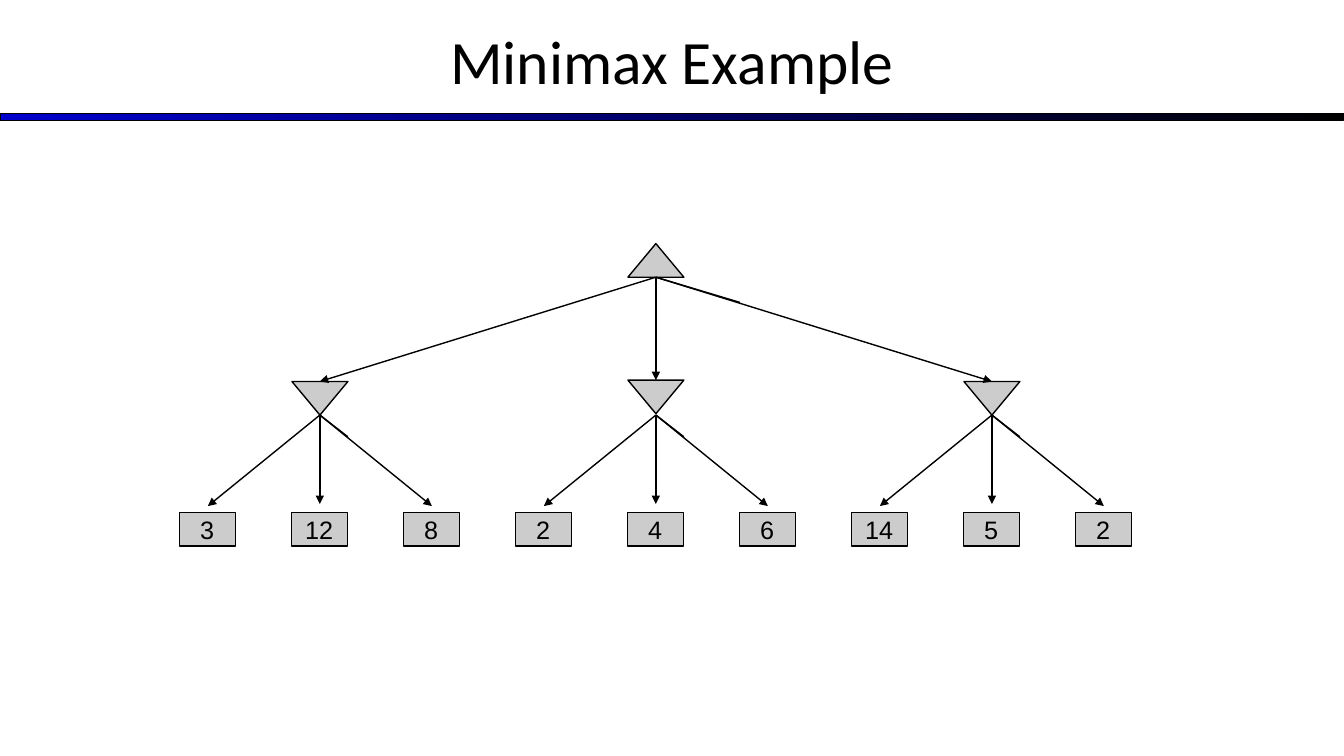
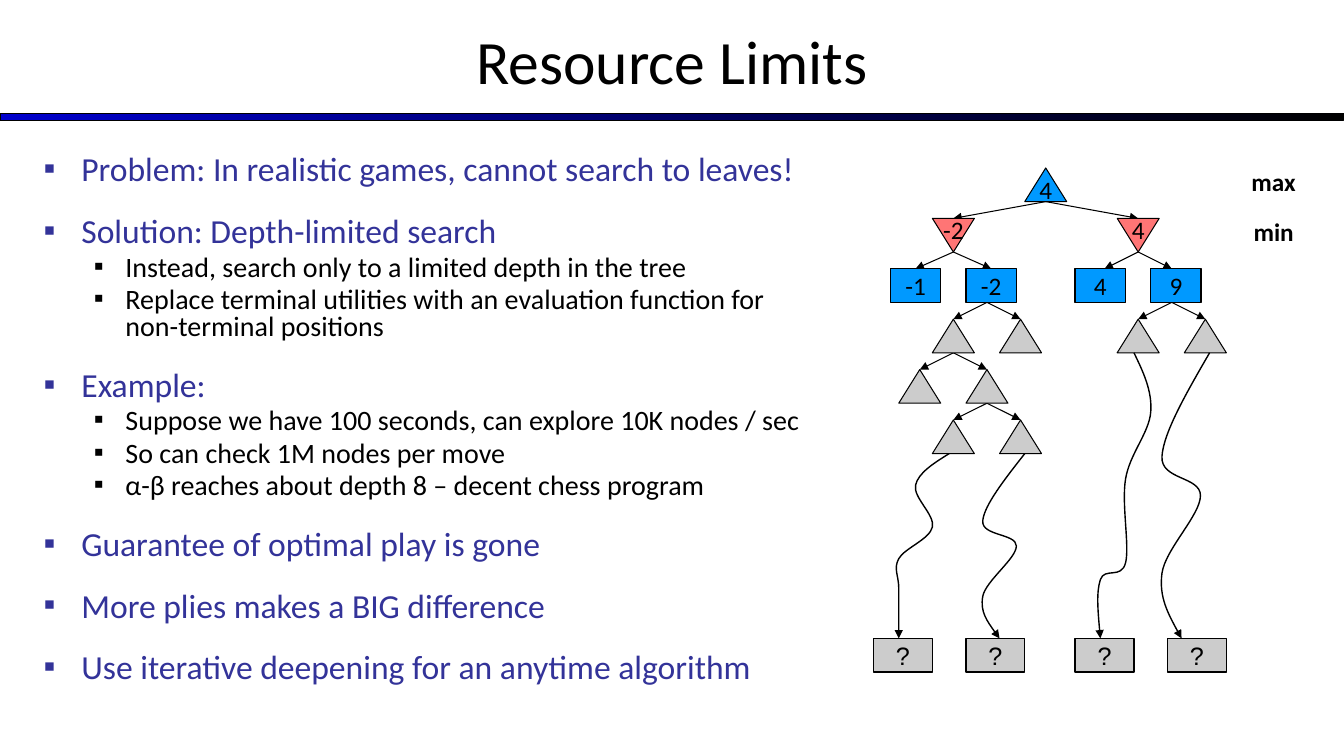
"""Build two slides on game-tree search: a minimax tree and resource limits."""
from dataclasses import dataclass

from pptx import Presentation
from pptx.dml.color import RGBColor
from pptx.enum.shapes import MSO_CONNECTOR, MSO_SHAPE
from pptx.enum.text import MSO_ANCHOR, MSO_AUTO_SIZE, PP_ALIGN
from pptx.oxml.ns import qn
from pptx.util import Pt
from lxml.etree import SubElement

PX = 6350
WIDTH, HEIGHT = 1920, 1080


@dataclass(frozen=True)
class Theme:
    """Colours, fonts and type sizes shared by the slides."""
    ink: str = "000000"
    accent: str = "333399"
    band: str = "0000CC"
    node: str = "CCCCCC"
    maximum: str = "0099FF"
    minimum: str = "FF7575"
    text_font: str = "Calibri"
    number_font: str = "Arial"
    title: int = 44
    topic: int = 24
    detail: int = 20
    label: int = 18
    thin: float = 0.75
    medium: float = 1


THEME = Theme()

MINIMAX_TITLE = "Minimax Example"
MINIMAX_VALUES = [(3, 12, 8), (2, 4, 6), (14, 5, 2)]

LIMITS_TITLE = "Resource Limits"
LIMITS_POINTS = [
    ("Problem: In realistic games, cannot search to leaves!", []),
    ("Solution: Depth-limited search", [
        "Instead, search only to a limited depth in the tree",
        "Replace terminal utilities with an evaluation function for non-terminal positions",
    ]),
    ("Example:", [
        "Suppose we have 100 seconds, can explore 10K nodes / sec",
        "So can check 1M nodes per move",
        "α-β reaches about depth 8 – decent chess program",
    ]),
    ("Guarantee of optimal play is gone", []),
    ("More plies makes a BIG difference", []),
    ("Use iterative deepening for an anytime algorithm", []),
]
PLAYERS = ["max", "min"]
MIN_NODES = [(1362, "-2"), (1626, "4")]
EVALUATED = [(1308, "-1"), (1416, "-2"), (1572, "4"), (1680, "9")]
UNLABELLED = {3: [1362, 1458, 1626, 1722], 4: [1314, 1410], 5: [1362, 1458]}
BRANCHES = [
    (0, 1494, (1362, 1626)),
    (1, 1362, (1308, 1416)),
    (1, 1626, (1578, 1674)),
    (2, 1410, (1362, 1458)),
    (2, 1674, (1626, 1722)),
    (3, 1362, (1314, 1410)),
    (4, 1410, (1362, 1458)),
]
UNKNOWN_LEAVES = [1290, 1422, 1578, 1710]
DEEP_PATHS = [
    [(1356, 648), (1308, 693), (1332, 753), (1284, 798), (1284, 841), (1284, 912)],
    [(1464, 648), (1404, 744), (1452, 780), (1404, 852), (1428, 912)],
    [(1728, 504), (1660, 652), (1715, 708), (1660, 819), (1688, 912)],
    [(1620, 504), (1644, 588), (1608, 684), (1608, 804), (1572, 828), (1572, 912)],
]
NODE_HEIGHT = 48


def rgb(color):
    return RGBColor.from_string(color)


def px(*lengths):
    return [round(length * PX) for length in lengths]


def write(paragraph, text, *, size=THEME.label, font=THEME.text_font, color=THEME.ink,
          bold=False, align=PP_ALIGN.CENTER, before=0, leading=None):
    run = paragraph.add_run()
    run.text = text
    run.font.size, run.font.name, run.font.bold = Pt(size), font, bold
    run.font.color.rgb = rgb(color)
    paragraph.alignment = align
    paragraph.space_before = Pt(before)
    if leading:
        paragraph.line_spacing = leading


def outline(figure, weight, arrow=False):
    figure.line.color.rgb = rgb(THEME.ink)
    figure.line.width = Pt(weight)
    if arrow:
        stroke = figure.element.find(".//" + qn("a:ln"))
        SubElement(stroke, qn("a:tailEnd"), type="triangle")


def add_node(slide, center, top, width, *, kind=MSO_SHAPE.RECTANGLE, fill=THEME.node,
             weight=THEME.medium, flipped=False, text="", font=THEME.text_font,
             inset=7, anchor=MSO_ANCHOR.MIDDLE):
    node = slide.shapes.add_shape(kind, *px(center - width / 2, top, width, NODE_HEIGHT))
    node.shadow.inherit = False
    node.fill.solid()
    node.fill.fore_color.rgb = rgb(fill)
    outline(node, weight)
    if flipped:
        node.rotation = 180
    if text:
        frame = node.text_frame
        frame.word_wrap = False
        frame.vertical_anchor = anchor
        frame.margin_top = inset * PX
        if flipped:
            node.element.find(".//" + qn("a:bodyPr")).set("rot", "10800000")
        write(frame.paragraphs[0], text, font=font)


def add_branch(slide, start, end, weight, arrow=True):
    branch = slide.shapes.add_connector(MSO_CONNECTOR.STRAIGHT, *px(*start, *end))
    outline(branch, weight, arrow)
    SubElement(branch.element.spPr, qn("a:effectLst"))


def curve_controls(knots):
    """List two controls and an end per span, with tangents set by neighbouring knots."""
    def shifted(origin, before, after, sign):
        return tuple(o + sign * (a - b) / 6 for o, b, a in zip(origin, before, after))

    def midpoint(first, second):
        return tuple((f + s) / 2 for f, s in zip(first, second))

    controls = []
    last = len(knots) - 2
    for index, (start, end) in enumerate(zip(knots, knots[1:])):
        leaving = shifted(start, knots[index - 1], end, 1) if index else None
        arriving = shifted(end, start, knots[index + 2], -1) if index < last else None
        leaving = leaving or midpoint(start, arriving)
        arriving = arriving or midpoint(leaving, end)
        controls += [leaving, arriving, end]
    return controls


def add_deep_path(slide, knots):
    builder = slide.shapes.build_freeform(*px(*knots[0]), scale=1.0)
    builder.add_line_segments([px(*point) for point in curve_controls(knots)], close=False)
    route = builder.convert_to_shape()
    outline_path = route.element.find(".//" + qn("a:path"))
    segments = outline_path.findall(qn("a:lnTo"))
    for index in range(0, len(segments), 3):
        curve = SubElement(outline_path, qn("a:cubicBezTo"))
        for segment in segments[index:index + 3]:
            curve.append(segment[0])
            outline_path.remove(segment)
    route.shadow.inherit = False
    route.fill.background()
    outline(route, THEME.medium, arrow=True)


def add_bullet(paragraph, color, margin, hanging):
    properties = paragraph._p.get_or_add_pPr()
    properties.set("marL", str(margin * PX))
    properties.set("indent", str(-hanging * PX))
    SubElement(SubElement(properties, qn("a:buClr")), qn("a:srgbClr"), val=color)
    SubElement(properties, qn("a:buFont"), typeface=THEME.number_font)
    SubElement(properties, qn("a:buChar"), char="▪")


def add_titled_slide(deck, title):
    slide = deck.slides.add_slide(deck.slide_layouts[5])
    heading = slide.shapes.title
    heading.left, heading.top, heading.width, heading.height = px(0, -4, WIDTH, 180)
    frame = heading.text_frame
    frame.auto_size = MSO_AUTO_SIZE.NONE
    frame.vertical_anchor = MSO_ANCHOR.MIDDLE
    write(frame.paragraphs[0], title, size=THEME.title)
    return slide


def add_layout_band(slide):
    """Draw the gradient band and place it on the slide's layout."""
    band = slide.shapes.add_shape(MSO_SHAPE.RECTANGLE, *px(0, 162, WIDTH, 10))
    band.shadow.inherit = False
    band.fill.gradient()
    band.fill.gradient_angle = 0
    for stop, color in zip(band.fill.gradient_stops, (THEME.band, THEME.ink)):
        stop.color.rgb = rgb(color)
    outline(band, THEME.thin)
    band.element.find(".//" + qn("p:cNvPr")).set("id", "20")
    slide.slide_layout.shapes.element.append(band.element)


def add_minimax_tree(slide):
    root, root_top, leaf_top, pitch, width = 937, 348, 732, 160, 80
    root_base, min_tip = root_top + NODE_HEIGHT, 593
    triangle = MSO_SHAPE.ISOSCELES_TRIANGLE
    add_node(slide, root, root_top, width, kind=triangle)
    for end in [(root, root_base + 48), (root + 120, root_base + 36)]:
        add_branch(slide, (root, root_base), end, THEME.medium, arrow=False)
    for group, values in enumerate(MINIMAX_VALUES):
        center = root + (group - 1) * 3 * pitch
        min_top = 543 if center == root else 545
        add_node(slide, center, min_top, width, kind=triangle, flipped=True)
        add_branch(slide, (root, root_base), (center, min_top), THEME.medium)
        for end in [(center, min_tip + 48), (center + 40, min_tip + 31)]:
            add_branch(slide, (center, min_tip), end, THEME.medium, arrow=False)
        for offset, value in zip((-1, 0, 1), values):
            leaf = center + offset * pitch
            arrow_end = leaf_top - (9 if offset else 12)
            add_branch(slide, (center, min_tip), (leaf, arrow_end), THEME.medium)
            add_node(slide, leaf - 1, leaf_top, width, weight=THEME.thin,
                     text=str(value), font=THEME.number_font)


def add_points(slide):
    frame = slide.shapes.add_textbox(*px(48, 216, 1116, 713)).text_frame
    frame.word_wrap = True
    lines = []
    for topic, details in LIMITS_POINTS:
        lines.append((0, topic, 21 if lines else 5.5))
        lines += [(1, detail, 4) for detail in details]
    styles = [(THEME.topic, THEME.accent, 54, 54), (THEME.detail, THEME.ink, 117, 45)]
    for index, (level, text, before) in enumerate(lines):
        size, color, margin, hanging = styles[level]
        paragraph = frame.add_paragraph() if index else frame.paragraphs[0]
        paragraph.level = level
        write(paragraph, text, size=size, color=color, align=PP_ALIGN.LEFT,
              before=before, leading=0.8)
        add_bullet(paragraph, color, margin, hanging)


def add_limited_tree(slide):
    def row_top(row):
        return 240 + 72 * row

    triangle = {"kind": MSO_SHAPE.ISOSCELES_TRIANGLE, "weight": THEME.thin}
    for row, parent, children in BRANCHES:
        for child in children:
            add_branch(slide, (parent, row_top(row) + NODE_HEIGHT),
                       (child, row_top(row + 1)), THEME.thin)
    add_node(slide, 1494, row_top(0), 60, fill=THEME.maximum, text="4", inset=28,
             anchor=MSO_ANCHOR.BOTTOM, **triangle)
    for center, value in MIN_NODES:
        add_node(slide, center, row_top(1), 60, fill=THEME.minimum, text=value,
                 inset=14, flipped=True, **triangle)
    for center, value in EVALUATED:
        add_node(slide, center, row_top(2), 72, fill=THEME.maximum, text=value)
    for row, centers in UNLABELLED.items():
        for center in centers:
            add_node(slide, center, row_top(row), 60, **triangle)
    for center in UNKNOWN_LEAVES:
        add_node(slide, center, 912, 84, text="?", font=THEME.number_font)
    for knots in DEEP_PATHS:
        add_deep_path(slide, knots)
    for row, player in enumerate(PLAYERS):
        frame = slide.shapes.add_textbox(*px(1767, row_top(row) - 10, 105, 58)).text_frame
        frame.word_wrap = True
        frame.vertical_anchor = MSO_ANCHOR.MIDDLE
        write(frame.paragraphs[0], player, bold=True)


def main():
    deck = Presentation()
    deck.slide_width, deck.slide_height = px(WIDTH, HEIGHT)
    minimax = add_titled_slide(deck, MINIMAX_TITLE)
    add_layout_band(minimax)
    add_minimax_tree(minimax)
    limits = add_titled_slide(deck, LIMITS_TITLE)
    add_points(limits)
    add_limited_tree(limits)
    deck.save("out.pptx")


if __name__ == "__main__":
    main()
